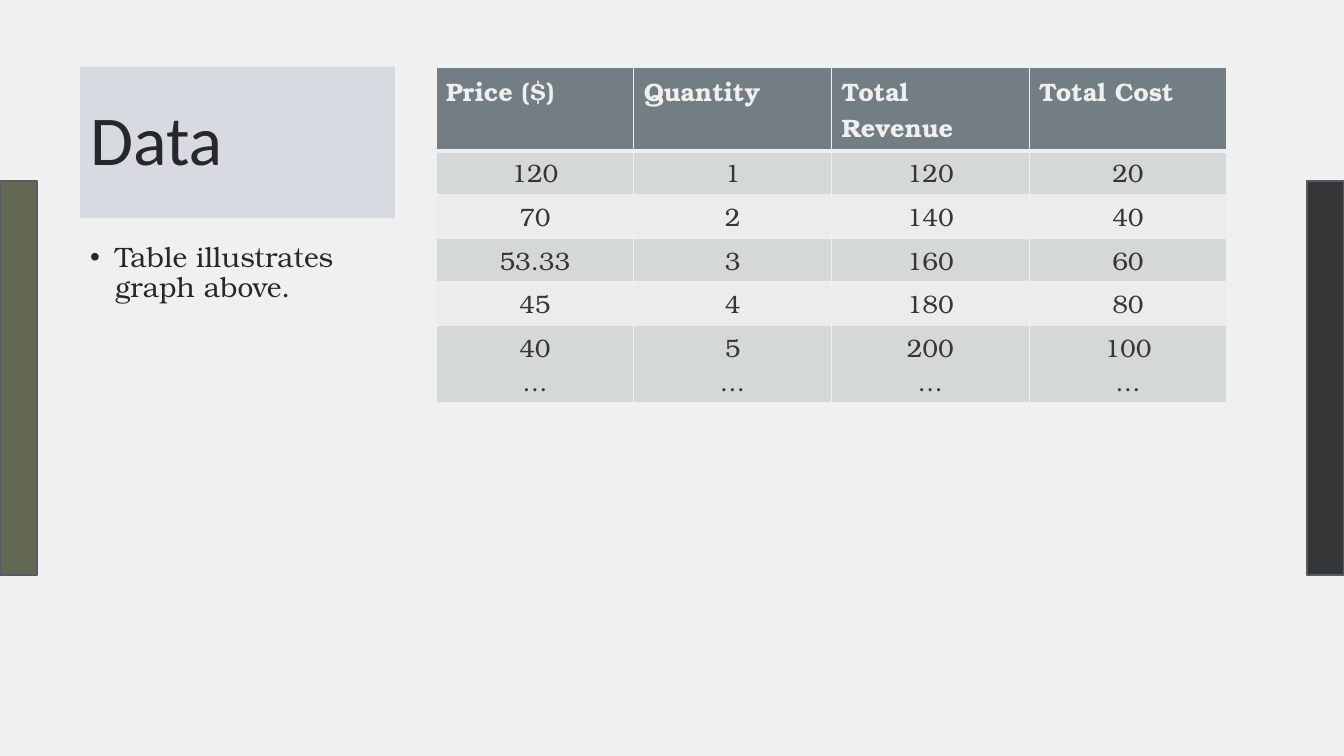
"""Build the Data slide: a title, a short note and a price and cost table."""
from lxml import etree
from pptx import Presentation
from pptx import util as u
from pptx.dml.color import RGBColor
from pptx.enum import shapes, text
from pptx.oxml import ns

BACKGROUND = RGBColor(0xF0, 0xF0, 0xF0)
DARK = RGBColor(0x35, 0x36, 0x38)
OLIVE = RGBColor(0x63, 0x68, 0x52)
BAR_EDGE = RGBColor(0x55, 0x5D, 0x62)
TITLE_FILL = RGBColor(0xD7, 0xDA, 0xE1)
INK = RGBColor(0x28, 0x28, 0x2A)
HEADER_FILL = RGBColor(0x73, 0x7E, 0x84)
ROW_FILLS = (RGBColor(0xEB, 0xEC, 0xED), RGBColor(0xD5, 0xD8, 0xD9))
PALE = RGBColor(0xEF, 0xEF, 0xEF)
SERIF = "TeX Gyre Bonum"
ROWS = [
    ("Price ($)", "Quantity", "Total Revenue", "Total Cost"),
    ("120", "1", "120", "20"),
    ("70", "2", "140", "40"),
    ("53.33", "3", "160", "60"),
    ("45", "4", "180", "80"),
    ("40\n…", "5\n…", "200\n…", "100\n…"),
]


def px(*lengths):
    return [u.Emu(round(length * 914400 / 100.8)) for length in lengths]


def add_run(paragraph, words, size, name, color, bold=False):
    run = paragraph.add_run()
    run.text = words
    run.font.size = u.Pt(size)
    run.font.name = name
    run.font.color.rgb = color
    run.font.bold = bold


presentation = Presentation()
presentation.slide_width, presentation.slide_height = px(1344, 756)
slide = presentation.slides.add_slide(presentation.slide_layouts[1])
slide.background.fill.solid()
slide.background.fill.fore_color.rgb = BACKGROUND

for left, color in ((1307, DARK), (0, OLIVE)):
    bar = slide.shapes.add_shape(shapes.MSO_SHAPE.RECTANGLE, *px(left, 181, 37, 394))
    bar.shadow.inherit = False
    bar.fill.solid()
    bar.fill.fore_color.rgb = color
    bar.line.color.rgb = BAR_EDGE
    bar.line.width = u.Pt(1)

title = slide.shapes.title
title.left, title.top, title.width, title.height = px(80, 67, 315, 151)
title.fill.solid()
title.fill.fore_color.rgb = TITLE_FILL
title.text_frame.vertical_anchor = text.MSO_ANCHOR.MIDDLE
paragraph = title.text_frame.paragraphs[0]
paragraph.alignment = text.PP_ALIGN.LEFT
paragraph.line_spacing = 0.9
add_run(paragraph, "Data", 50, "Calibri", INK)

table = slide.shapes.add_table(len(ROWS), len(ROWS[0]), *px(436, 67, 791, 275)).table
for row in table.rows:
    row.height = px(41)[0]
for row_index, row_values in enumerate(ROWS):
    header = row_index == 0
    for column_index, value in enumerate(row_values):
        cell = table.cell(row_index, column_index)
        for line_index, words in enumerate(value.split("\n")):
            frame = cell.text_frame
            paragraph = frame.add_paragraph() if line_index else frame.paragraphs[0]
            paragraph.alignment = text.PP_ALIGN.LEFT if header else text.PP_ALIGN.CENTER
            add_run(paragraph, words, 18, SERIF, PALE if header else DARK, header)
        properties = cell._tc.get_or_add_tcPr()
        for side in ("lnL", "lnR", "lnT", "lnB"):
            thick = (header and side == "lnB") or (row_index == 1 and side == "lnT")
            border = etree.SubElement(properties, ns.qn("a:" + side), w=str(u.Pt(3 if thick else 1)))
            border_fill = etree.SubElement(border, ns.qn("a:solidFill"))
            etree.SubElement(border_fill, ns.qn("a:srgbClr"), val=str(PALE))
        cell.fill.solid()
        cell.fill.fore_color.rgb = HEADER_FILL if header else ROW_FILLS[row_index % 2]

body = slide.placeholders[1]
body.left, body.top, body.width, body.height = px(80, 238, 315, 378)
body.text_frame.vertical_anchor = text.MSO_ANCHOR.TOP
paragraph = body.text_frame.paragraphs[0]
paragraph.line_spacing = 0.9
paragraph.space_before = u.Pt(0)
indent = px(25)[0]
paragraph_properties = paragraph._p.get_or_add_pPr()
paragraph_properties.set("marL", str(indent))
paragraph_properties.set("indent", str(-indent))
etree.SubElement(paragraph_properties, ns.qn("a:buFont"), typeface="Arial")
etree.SubElement(paragraph_properties, ns.qn("a:buChar"), char="•")
add_run(paragraph, "Table illustrates graph above.", 20, SERIF, INK)

presentation.save("out.pptx")
